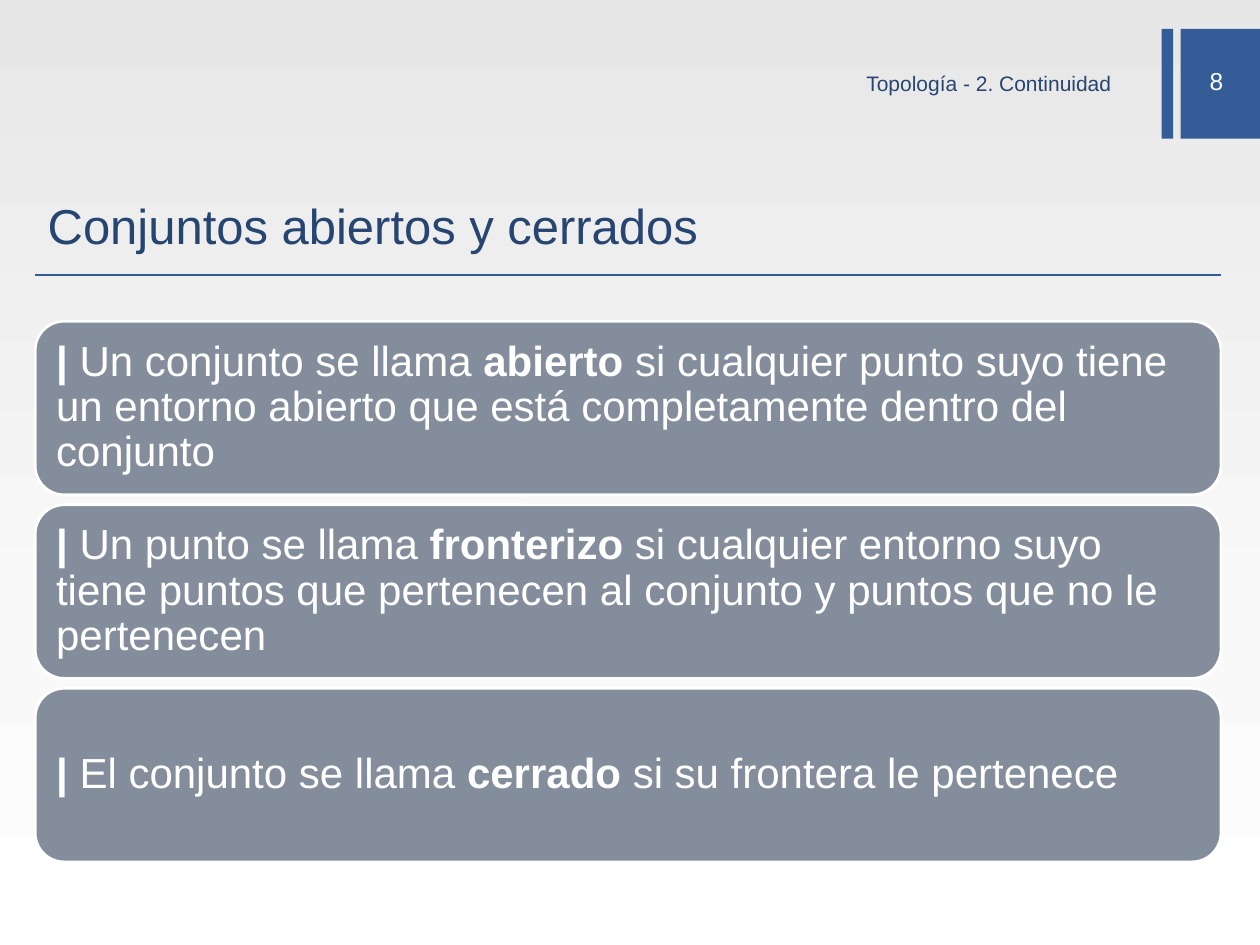
from copy import deepcopy
from pptx import Presentation
from pptx import util as u
from pptx.dml.color import RGBColor
from pptx.enum import shapes, text
from pptx.oxml import ns
from lxml import etree

HUES = {"blue": "345C97", "navy": "274571", "slate": "838D9B", "white": "FFFFFF"}
STOPS = [(0, "E7E7E7"), (0.65, "F9F9F9"), (1, "FFFFFF")]
CARDS = [
    ("Un conjunto se llama ", "abierto",
     " si cualquier punto suyo tiene un entorno abierto que está completamente dentro del conjunto"),
    ("Un punto se llama ", "fronterizo",
     " si cualquier entorno suyo tiene puntos que pertenecen al conjunto y puntos que no le pertenecen"),
    ("El conjunto se llama ", "cerrado", " si su frontera le pertenece"),
]


def rgb(name):
    """Return the named colour."""
    return RGBColor.from_string(HUES[name])


def inch(box):
    """Turn a box of inches into lengths."""
    return [u.Inches(n) for n in box]


def style(run, size, hue, bold=False):
    """Set the font of a run."""
    font = run.font
    font.name, font.size, font.bold = "Arial", u.Pt(size), bold
    font.color.rgb = rgb(hue)


def block(slide, kind, box, hue):
    """Add a plain filled shape."""
    form = slide.shapes.add_shape(kind, *inch(box))
    form.shadow.inherit = False
    form.fill.solid()
    form.fill.fore_color.rgb = rgb(hue)
    form.line.fill.background()
    return form


def label(slide, box, words, size, hue, align, top=0.05):
    """Add one line of text, centred vertically."""
    frame = slide.shapes.add_textbox(*inch(box)).text_frame
    frame.word_wrap = True
    frame.margin_top = u.Inches(top)
    frame.vertical_anchor = text.MSO_ANCHOR.MIDDLE
    frame.text = words
    para = frame.paragraphs[0]
    para.alignment = align
    style(para.runs[0], size, hue)


def backdrop(slide):
    """Fill the background with a vertical gradient."""
    fill = slide.background.fill
    fill.gradient()
    fill.gradient_angle = 270
    first = slide.element.find(".//" + ns.qn("a:gs"))
    first.addnext(deepcopy(first))
    for stop, (place, hue) in zip(fill.gradient_stops, STOPS):
        stop.position = place
        stop.color.rgb = RGBColor.from_string(hue)


def header(slide, box):
    """Place the running title, the bars and the page number."""
    left, top, width, height = box
    right = left + width
    for x, wide in ((right - 0.78, 0.09), (right - 0.63, 0.63)):
        block(slide, shapes.MSO_SHAPE.RECTANGLE, (x, top, wide, height), "blue")
    label(slide, (right - 0.67, top + 0.21, 0.65, 0.4), "8", 14, "white",
          text.PP_ALIGN.CENTER)
    label(slide, (left, top + 0.29, 3.94, 0.33), "Topología - 2. Continuidad", 12,
          "navy", text.PP_ALIGN.RIGHT, top=0)


def title(slide, box):
    """Place the title with a rule along its foot."""
    left, top, width, height = box
    label(slide, box, "Conjuntos abiertos y cerrados", 28, "navy", text.PP_ALIGN.LEFT)
    foot = top + height
    ends = inch((left, foot, left + width, foot))
    rule = slide.shapes.add_connector(shapes.MSO_CONNECTOR.STRAIGHT, *ends)
    rule.line.color.rgb = rgb("blue")
    rule.line.width = u.Pt(1)
    etree.SubElement(rule.element.spPr, ns.qn("a:effectLst"))


def card(slide, box, parts):
    """Place one definition with its term in bold."""
    form = block(slide, shapes.MSO_SHAPE.ROUNDED_RECTANGLE, box, "slate")
    form.line.color.rgb = rgb("white")
    form.line.width = u.Pt(1.5)
    frame = form.text_frame
    frame.word_wrap = True
    frame.vertical_anchor = text.MSO_ANCHOR.MIDDLE
    frame.margin_left = frame.margin_right = u.Inches(0.1)
    frame.margin_top = frame.margin_bottom = u.Inches(0.1)
    para = frame.paragraphs[0]
    para.alignment = text.PP_ALIGN.LEFT
    para.line_spacing = 0.9
    lead, term, rest = parts
    for words, bold in (("| ", True), (lead, False), (term, True), (rest, False)):
        run = para.add_run()
        run.text = words
        style(run, 24, "white", bold)


def stack(slide, box, gap=0.08):
    """Stack the definitions in equal rows."""
    left, top, width, height = box
    tall = (height - gap * (len(CARDS) - 1)) / len(CARDS)
    for i, parts in enumerate(CARDS):
        card(slide, (left, top + i * (tall + gap), width, tall), parts)


def main():
    """Build and save the slide."""
    deck = Presentation()
    deck.slide_width, deck.slide_height = u.Inches(10), u.Inches(7.5)
    slide = deck.slides.add_slide(deck.slide_layouts[6])
    backdrop(slide)
    header(slide, (4.98, 0.23, 5.02, 0.87))
    title(slide, (0.28, 1.39, 9.41, 0.79))
    stack(slide, (0.28, 2.55, 9.41, 4.29))
    deck.save("out.pptx")


if __name__ == "__main__":
    main()
